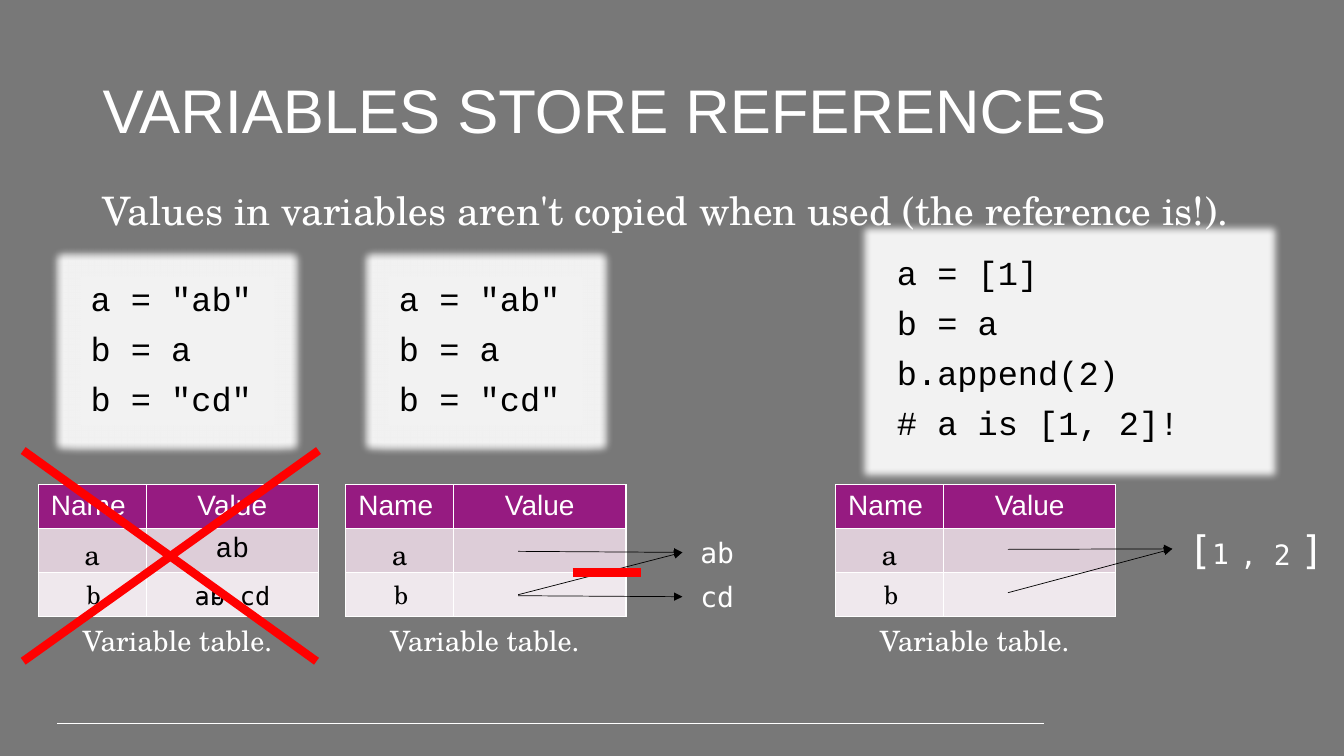
from pptx import Presentation
from pptx.dml.color import RGBColor
from pptx.enum.shapes import MSO_CONNECTOR, MSO_SHAPE
from pptx.enum.text import MSO_ANCHOR, PP_ALIGN
from pptx.oxml.ns import qn
from pptx.util import Inches, Pt
from lxml.etree import SubElement, Element

# Grid of 40 columns by 30 rows
WIDTH, HEIGHT = Inches(13.33), Inches(7.5)
COLUMN, ROW = WIDTH / 40, HEIGHT / 30
TABLE_TOP, TABLE_ROW = 19.24, 1.74
NAME_COLUMN, VALUE_COLUMN = 3.21, 5.13

SANS, SERIF = "Arial", "TeX Gyre Schola"
CODE, MONO = "Courier New", "DejaVu Sans Mono"
WHITE, BLACK, RED = "FFFFFF", "000000", "FF0000"
HEADER, DARK_BAND, LIGHT_BAND = "961B81", "DDCDD8", "EFE8ED"
PANEL, BACKGROUND = "F2F2F2", "787878"
LEFT, CENTER, RIGHT = PP_ALIGN.LEFT, PP_ALIGN.CENTER, PP_ALIGN.RIGHT


def color(value):
    return RGBColor.from_string(value)


def place(left, top, width, height):
    return (round(left * COLUMN), round(top * ROW),
            round(width * COLUMN), round(height * ROW))


def add_run(paragraph, text, size, font, ink):
    run = paragraph.add_run()
    run.text = text
    run.font.size = Pt(size)
    run.font.name = font
    run.font.color.rgb = color(ink)


def add_label(slide, area, text, size, font, ink=WHITE, align=CENTER,
              anchor=MSO_ANCHOR.TOP, spacing=None):
    label = slide.shapes.add_textbox(*place(*area))
    frame = label.text_frame
    frame.word_wrap = True
    frame.vertical_anchor = anchor
    paragraph = frame.paragraphs[0]
    paragraph.alignment = align
    paragraph.line_spacing = spacing
    if text:
        add_run(paragraph, text, size, font, ink)
    return label


def add_code(slide, area, lines):
    panel = slide.shapes.add_shape(MSO_SHAPE.RECTANGLE, *place(*area))
    panel.shadow.inherit = False
    panel.fill.solid()
    panel.fill.fore_color.rgb = color(PANEL)
    panel.line.fill.background()
    # Soft halo in the panel's own colour
    effects = panel._element.spPr.find(qn("a:effectLst"))
    glow = SubElement(effects, qn("a:glow"), rad=str(Pt(11)))
    SubElement(glow, qn("a:srgbClr"), val=PANEL)
    frame = panel.text_frame
    frame.word_wrap = True
    frame.vertical_anchor = MSO_ANCHOR.TOP
    for number, line in enumerate(lines):
        paragraph = frame.add_paragraph() if number else frame.paragraphs[0]
        paragraph.alignment = LEFT
        paragraph.line_spacing = 0.9
        paragraph.space_before = Pt(10 if number else 0)
        add_run(paragraph, line, 24, CODE, BLACK)


def add_line(slide, start, end, ink, weight, target=None):
    """Draw a line; with a target it becomes an arrow joined to its left side."""
    line = slide.shapes.add_connector(
        MSO_CONNECTOR.STRAIGHT, *place(*start, *end))
    line.line.color.rgb = color(ink)
    line.line.width = Pt(weight)
    properties = line._element.spPr
    if target is not None:
        line.end_connect(target, 1)
        SubElement(properties.find(qn("a:ln")), qn("a:tailEnd"), type="triangle")
    SubElement(properties, qn("a:effectLst"))


def add_borders(cell):
    properties = cell._tc.get_or_add_tcPr()
    for position, side in enumerate(("a:lnL", "a:lnR", "a:lnT", "a:lnB")):
        border = Element(qn(side), w=str(Pt(1)))
        fill = SubElement(border, qn("a:solidFill"))
        SubElement(fill, qn("a:srgbClr"), val=WHITE)
        properties.insert(position, border)


def add_variable_table(slide, left, a_value=""):
    width = NAME_COLUMN + VALUE_COLUMN
    table = slide.shapes.add_table(
        3, 2, *place(left, TABLE_TOP, width, 3 * TABLE_ROW)).table
    table.horz_banding = False
    for column, share in zip(table.columns, (NAME_COLUMN, VALUE_COLUMN)):
        column.width = round(share * COLUMN)
    rows = [
        (HEADER, WHITE, [("Name ", SANS), ("Value", SANS)]),
        (DARK_BAND, BLACK, [("a", SERIF), (a_value, CODE)]),
        (LIGHT_BAND, BLACK, [("", SERIF), ("", SERIF)]),
    ]
    for r, (band, ink, entries) in enumerate(rows):
        for c, (text, font) in enumerate(entries):
            cell = table.cell(r, c)
            cell.fill.solid()
            cell.fill.fore_color.rgb = color(band)
            add_borders(cell)
            paragraph = cell.text_frame.paragraphs[0]
            paragraph.alignment = CENTER
            if text:
                add_run(paragraph, text, 20, font, ink)
    add_label(slide, (left, 24.56, 8.28, 1.76), "Variable table.", 20, SERIF)
    add_label(slide, (left + 0.72, 22.8, 1.86, 1.6), "b", 18, SERIF, BLACK)


def add_list_value(slide):
    value = add_label(slide, (34.89, 20.64, 5.01, 2.28), "", 28, MONO, align=LEFT)
    value.text_frame.margin_left = Inches(0.16)
    paragraph = value.text_frame.paragraphs[0]
    stops = SubElement(paragraph._p.get_or_add_pPr(), qn("a:tabLst"))
    SubElement(stops, qn("a:tab"), pos=str(Inches(1.11)), algn="l")
    for text, size in (("[", 28), ("1", 20), ("\t]", 28)):
        add_run(paragraph, text, size, MONO, WHITE)
    add_label(slide, (36.48, 21.12, 2.37, 1.76), ", 2", 20, MONO)
    return value


def main():
    deck = Presentation()
    deck.slide_width, deck.slide_height = WIDTH, HEIGHT
    slide = deck.slides.add_slide(deck.slide_layouts[6])
    slide.background.fill.solid()
    slide.background.fill.fore_color.rgb = color(BACKGROUND)

    # Code examples, behind the heading so its text stays clear
    string_code = ['a = "ab"', "b = a", 'b = "cd"']
    for left in (2.4, 11.58):
        add_code(slide, (left, 11, 5.76, 5.88), string_code)
    add_code(slide, (26.4, 9.96, 10.86, 7.96),
             ["a = [1]", "b = a", "b.append(2)", "# a is [1, 2]!"])

    # Heading and footer rule
    add_line(slide, (1.71, 28.72), (31.08, 28.72), WHITE, 0.75)
    add_label(slide, (2.76, 1.6, 34.5, 5.8), "VARIABLES STORE REFERENCES",
              44, SANS, align=LEFT, anchor=MSO_ANCHOR.MIDDLE, spacing=0.9)
    add_label(slide, (2.76, 7.4, 34.5, 2.12),
              "Values in variables aren't copied when used (the reference is!).",
              28, SERIF, align=LEFT, spacing=0.9)

    # Wrong model: values held in the table, crossed out
    add_variable_table(slide, 1.14, "ab")
    add_label(slide, (4.65, 22.84, 2.34, 1.6), "ab", 18, MONO, BLACK, RIGHT)
    add_label(slide, (5.49, 22.84, 3.93, 1.6), "-- cd", 18, MONO, BLACK, LEFT)
    add_line(slide, (0.69, 17.88), (9.42, 26.24), RED, 6)
    add_line(slide, (0.69, 26.24), (9.48, 17.88), RED, 6)

    # Right model: references to strings
    add_variable_table(slide, 10.29)
    ab, cd = [add_label(slide, (20.31, top, 2.07, 1.76), text, 20, MONO)
              for text, top in (("ab", 21.04), ("cd", 22.8))]
    for top, target in ((21.88, ab), (23.6, ab), (23.64, cd)):
        add_line(slide, (15.42, top), (20.31, top), BLACK, 0.5, target)
    add_line(slide, (17.04, 22.72), (19.08, 22.72), RED, 6)

    # Shared list: both names refer to one value
    add_variable_table(slide, 24.87)
    shared_list = add_list_value(slide)
    for top in (21.8, 23.52):
        add_line(slide, (30, top), (34.89, top), BLACK, 0.5, shared_list)

    deck.save("out.pptx")


if __name__ == "__main__":
    main()
